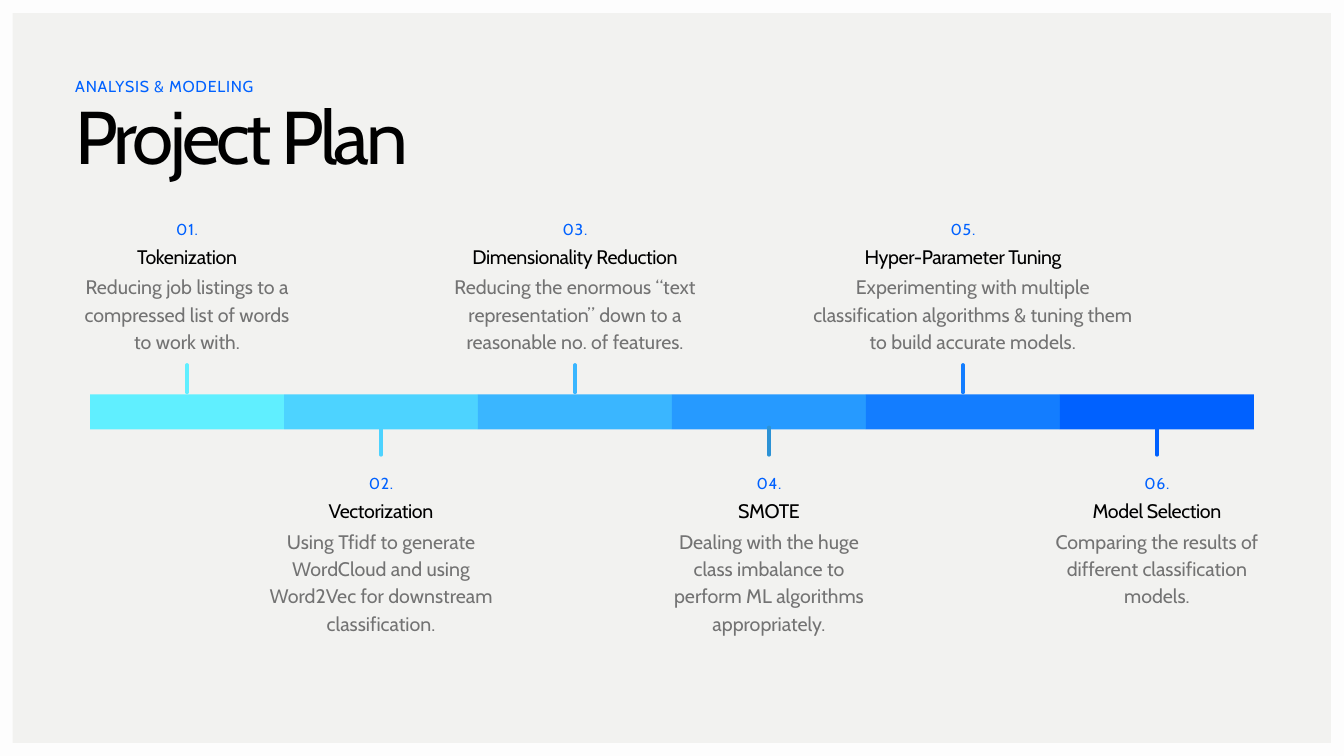
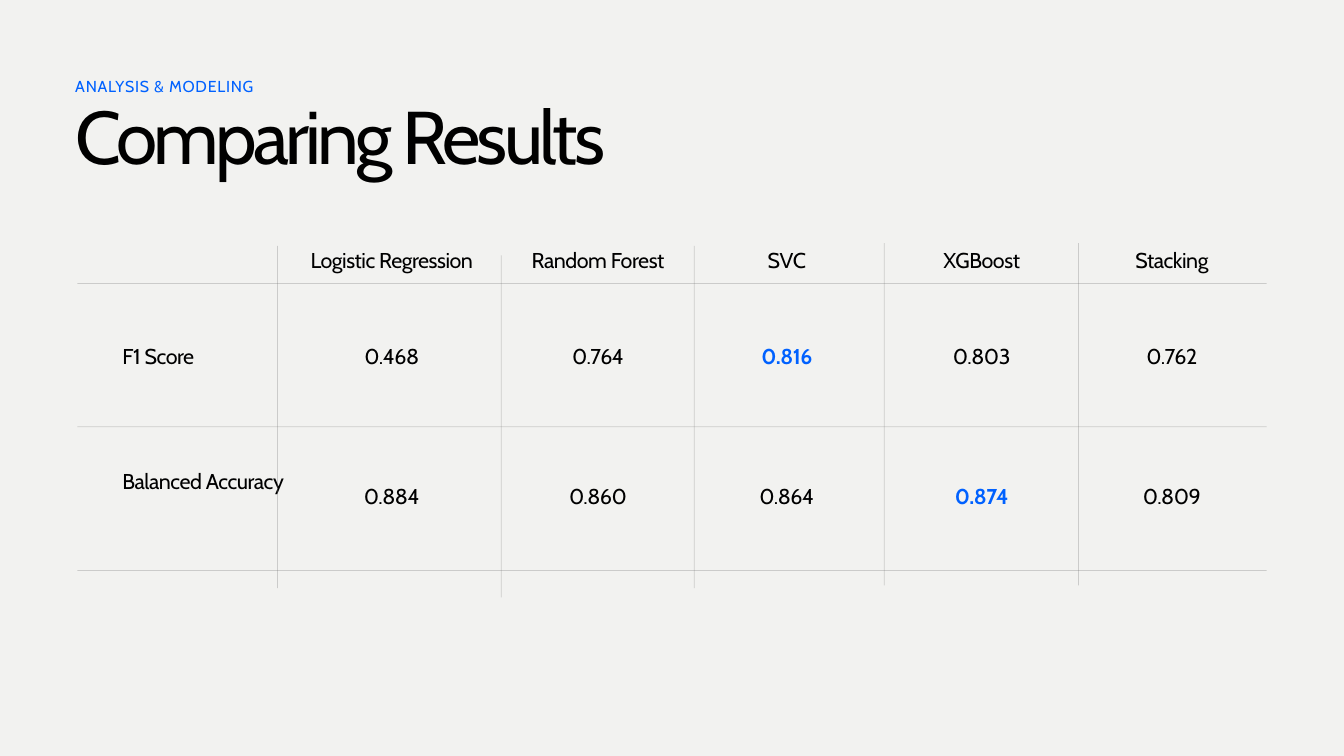
from collections import namedtuple
from dataclasses import dataclass

from lxml import etree
from pptx import Presentation
from pptx.dml.color import RGBColor
from pptx.enum.shapes import MSO_CONNECTOR, MSO_SHAPE
from pptx.enum.text import MSO_ANCHOR, PP_ALIGN
from pptx.oxml.ns import qn
from pptx.util import Inches, Pt

RECT = MSO_SHAPE.RECTANGLE
STRAIGHT = MSO_CONNECTOR.STRAIGHT
MIDDLE = MSO_ANCHOR.MIDDLE
LEFT, CENTER, JUSTIFY = PP_ALIGN.LEFT, PP_ALIGN.CENTER, PP_ALIGN.JUSTIFY

Box = namedtuple("Box", "left top width height")
Style = namedtuple("Style", "size color spacing leading align bold", defaults=(False,))
Step = namedtuple("Step", "title body width body_width color tick_color")


@dataclass(frozen=True)
class Theme:
    font: str = "Cabin"
    background: str = "F2F2F0"
    frame: str = "FDFDFD"
    rule: str = "737373"
    rule_alpha: int = 30
    rule_width: float = 0.75
    tick_width: float = 3.75
    title: Style = Style(80, "000000", -4, 88, LEFT)
    kicker: Style = Style(17, "0061FF", 0.8, 23.8, JUSTIFY)
    number: Style = Style(17, "0061FF", 0.8, 23.8, CENTER)
    step: Style = Style(21, "000000", -0.4, 29.4, CENTER)
    body: Style = Style(21, "737373", 0, 29.4, CENTER)
    label: Style = Style(23, "000000", -0.5, 32.2, JUSTIFY)
    value: Style = Style(23, "000000", -0.5, 32.2, CENTER)
    best: Style = Style(23, "0061FF", -0.5, 32.2, CENTER, True)


THEME = Theme()
SLIDE = Box(0, 0, 20, 11.25)
HEADER = Box(1.12, 1.1, 17.74, 1.63)
BAR = Box(1.34, 5.87, 17.32, 0.52)
GRID = Box(1.15, 3.47, 17.7, 5.02)

STEPS = [
    Step("Tokenization",
         "Reducing job listings to a compressed list of words to work with.",
         3.3, 3.3, "60EFFF", "60EFFF"),
    Step("Vectorization",
         "Using Tfidf to generate WordCloud and using\n"
         "Word2Vec for downstream classification.",
         3.9, 3.9, "4DD3FF", "4DD3FF"),
    Step("Dimensionality Reduction",
         "Reducing the enormous “text representation” down to a "
         "reasonable no. of features.",
         4.06, 4.06, "3AB6FF", "3AB6FF"),
    Step("SMOTE",
         "Dealing with the huge class imbalance to perform ML algorithms "
         "appropriately.",
         3.3, 3.3, "269AFF", "2C92D5"),
    Step("Hyper-Parameter Tuning",
         "Experimenting with multiple classification algorithms & tuning "
         "them to build accurate models.",
         4.59, 4.88, "137DFF", "137DFF"),
    Step("Model Selection",
         "Comparing the results of different classification models.",
         3.3, 3.3, "0061FF", "0061FF"),
]

RESULTS = [
    ["", "Logistic Regression", "Random Forest", "SVC", "XGBoost", "Stacking"],
    ["F1 Score", "0.468", "0.764", "0.816", "0.803", "0.762"],
    ["Balanced Accuracy", "0.884", "0.860", "0.864", "0.874", "0.809"],
]
BEST = {(1, 3), (2, 4)}
COLUMN_WIDTHS = [3.15, 3.06, 3.08, 2.54, 3.26, 2.4]
ROW_HEIGHTS = [0.75, 2.12, 2.04]
ROW_RULES = [0.75, 2.88, 5.02]
COLUMN_RULES = [(2.98, 0.19), (6.31, 0.33), (9.18, 0.19), (12.01, 0.15), (14.9, 0.15)]
COLUMN_RULE_LENGTH = 5.09
LABEL_INDENT = 0.67
LABEL_LIFT = {2: 0.45}
NO_STYLE = "{2D5ABB26-0587-4C30-8999-92F81FD0307C}"


def rgb(color):
    return RGBColor.from_string(color)


def set_all(target, values):
    for name, value in values.items():
        setattr(target, name, value)


def write(tf, text, style):
    set_all(tf, dict(word_wrap=True, margin_left=0, margin_top=0,
                     margin_right=0, margin_bottom=0))
    fill_text(tf, text, style)


def fill_text(tf, text, style):
    for i, line in enumerate(text.split("\n")):
        p = tf.add_paragraph() if i else tf.paragraphs[0]
        set_all(p, dict(alignment=style.align, line_spacing=Pt(style.leading)))
        r = p.add_run()
        r.text = line
        set_all(r.font, dict(name=THEME.font, size=Pt(style.size), bold=style.bold))
        r.font.color.rgb = rgb(style.color)
        r.font._element.set("spc", str(round(style.spacing * 100)))


def add_text(s, box, text, style):
    sp = s.shapes.add_textbox(*map(Inches, box))
    write(sp.text_frame, text, style)


def add_line(s, start, end, color, width, alpha=None, cap=None):
    line = s.shapes.add_connector(STRAIGHT, *map(Inches, (*start, *end)))
    line.line.color.rgb = rgb(color)
    line.line.width = Pt(width)
    sp_pr = line._element.spPr
    if alpha:
        clr = sp_pr.find(".//" + qn("a:srgbClr"))
        etree.SubElement(clr, qn("a:alpha")).set("val", str(alpha * 1000))
    if cap:
        sp_pr.find(qn("a:ln")).set("cap", cap)
    etree.SubElement(sp_pr, qn("a:effectLst"))


def plain_fill(sp, color):
    sp.shadow.inherit = False
    sp.fill.solid()
    sp.fill.fore_color.rgb = rgb(color)
    sp.line.fill.background()


def add_frame(s, box, border):
    right, bottom = box.left + box.width, box.top + box.height
    outer = [(box.left, box.top), (box.left, bottom), (right, bottom), (right, box.top)]
    inner = [(right - border, bottom - border), (box.left + border, bottom - border),
             (box.left + border, box.top + border), (right - border, box.top + border)]
    outer, inner = [[(Inches(x), Inches(y)) for x, y in ring] for ring in (outer, inner)]
    builder = s.shapes.build_freeform(*outer[0])
    builder.add_line_segments(outer[1:], close=True)
    builder.move_to(*inner[0])
    builder.add_line_segments(inner[1:], close=True)
    plain_fill(builder.convert_to_shape(), THEME.frame)


def add_header(s, box, kicker, title):
    add_text(s, Box(box.left, box.top + 0.35, box.width, 1.28), title, THEME.title)
    add_text(s, Box(box.left, box.top, box.width, 0.3), kicker, THEME.kicker)


def add_step(s, center, top, number, step):
    left = center - step.width / 2
    add_text(s, Box(center - 0.5, top, 1, 0.3), f"{number:02}.", THEME.number)
    add_text(s, Box(left, top + 0.37, step.width, 0.39), step.title, THEME.step)
    add_text(s, Box(left, top + 0.82, step.body_width, 1.2), step.body, THEME.body)


def add_timeline(s, box, steps):
    width = box.width / len(steps)
    for i, step in enumerate(steps):
        left = box.left + i * width
        center = left + width / 2
        segment = Box(left, box.top, width, box.height)
        plain_fill(s.shapes.add_shape(RECT, *map(Inches, segment)), step.color)
        above = i % 2 == 0
        tick_top = box.top + (-0.44 if above else 0.49)
        add_line(s, (center, tick_top), (center, tick_top + 0.41),
                 step.tick_color, THEME.tick_width, cap="rnd")
        add_step(s, center, box.top + (-2.65 if above else 1.13), i + 1, step)


def add_results(s, box, rows):
    frame = s.shapes.add_table(
        len(rows), len(rows[0]), Inches(box.left), Inches(box.top),
        Inches(sum(COLUMN_WIDTHS)), Inches(sum(ROW_HEIGHTS)))
    table = frame.table
    set_all(table, dict(first_row=False, horz_banding=False))
    table._tbl.tblPr.find(qn("a:tableStyleId")).text = NO_STYLE
    for column, width in zip(table.columns, COLUMN_WIDTHS):
        column.width = Inches(width)
    for row, height in zip(table.rows, ROW_HEIGHTS):
        row.height = Inches(height)
    for i, row in enumerate(rows):
        for j, text in enumerate(row):
            cell = table.cell(i, j)
            is_label = j == 0
            cell.fill.background()
            set_all(cell, dict(
                vertical_anchor=MIDDLE, margin_top=0, margin_right=0,
                margin_left=Inches(LABEL_INDENT if is_label else 0),
                margin_bottom=Inches(LABEL_LIFT.get(i, 0) if is_label else 0)))
            style = THEME.best if (i, j) in BEST else THEME.value
            if text:
                fill_text(cell.text_frame, text, THEME.label if is_label else style)

    rules = [((0, y), (box.width, y)) for y in ROW_RULES]
    rules += [((x, y), (x, y + COLUMN_RULE_LENGTH)) for x, y in COLUMN_RULES]
    for ends in rules:
        start, end = [(box.left + x, box.top + y) for x, y in ends]
        add_line(s, start, end, THEME.rule, THEME.rule_width, THEME.rule_alpha)


def new_slide(prs, title):
    s = prs.slides.add_slide(prs.slide_layouts[6])
    s.background.fill.solid()
    s.background.fill.fore_color.rgb = rgb(THEME.background)
    add_header(s, HEADER, "ANALYSIS & MODELING", title)
    return s


def plan_slide(prs):
    s = new_slide(prs, "Project Plan")
    add_frame(s, SLIDE, 0.19)
    add_timeline(s, BAR, STEPS)


def results_slide(prs):
    s = new_slide(prs, "Comparing Results")
    add_results(s, GRID, RESULTS)


def main():
    prs = Presentation()
    prs.slide_width = Inches(SLIDE.width)
    prs.slide_height = Inches(SLIDE.height)
    plan_slide(prs)
    results_slide(prs)
    prs.save("out.pptx")


if __name__ == "__main__":
    main()
